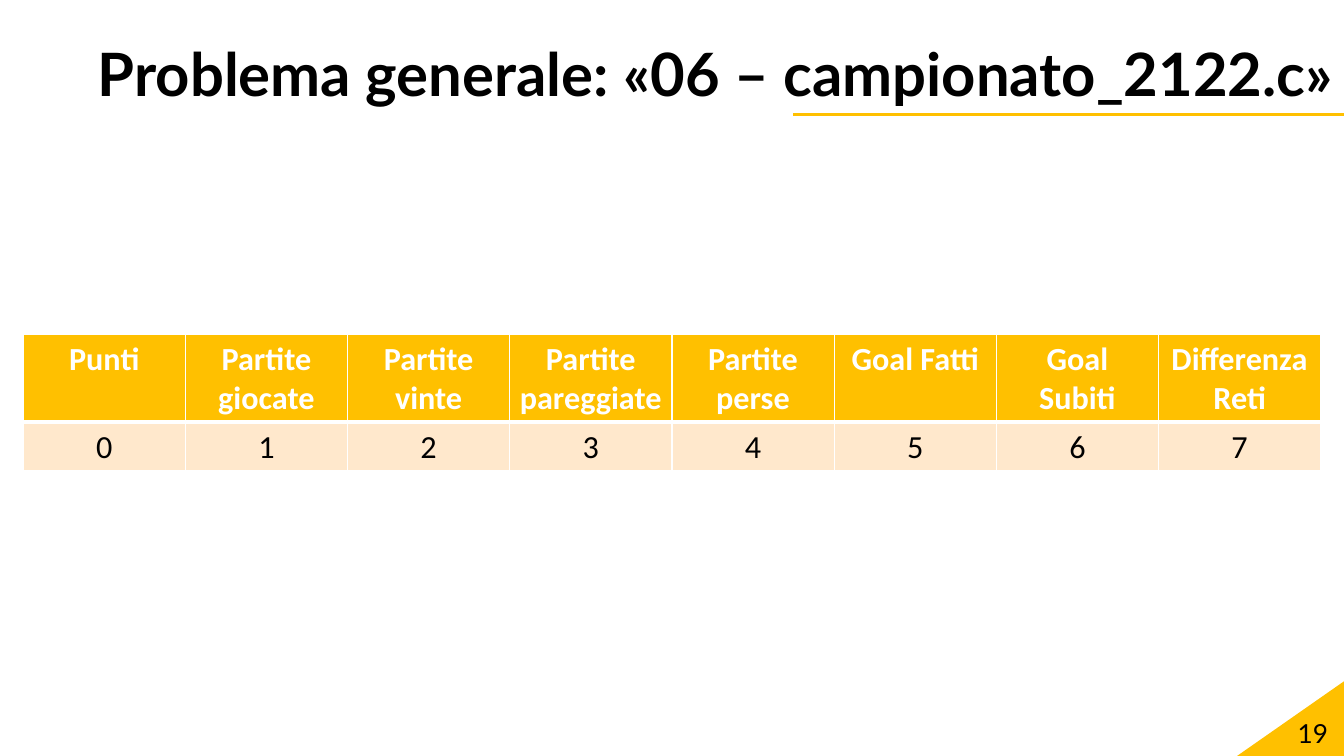
"""Builds the slide with the column indices of the championship table."""
from lxml import etree
from pptx import Presentation, util as u
from pptx.dml.color import RGBColor
from pptx.enum import shapes, text
from pptx.oxml import ns

GOLD = RGBColor(0xFF, 0xC0, 0x00)
CREAM = RGBColor(0xFF, 0xE8, 0xCC)
WHITE = RGBColor(0xFF, 0xFF, 0xFF)
BLACK = RGBColor(0, 0, 0)
HEADS = ["Punti", "Partite giocate", "Partite vinte", "Partite pareggiate",
         "Partite perse", "Goal Fatti", "Goal Subiti", "Differenza Reti"]

deck = Presentation()
deck.slide_width, deck.slide_height = wide, high = u.Inches(13.33), u.Inches(7.5)
slide = deck.slides.add_slide(deck.slide_layouts[6])


def write(frame, words, font, size, color, bold, align):
    """Adds one formatted run to the first paragraph."""
    para = frame.paragraphs[0]
    para.alignment = align
    run = para.add_run()
    run.text = words
    run.font.name, run.font.size = font, u.Pt(size)
    run.font.color.rgb, run.font.bold = color, bold
    return para


def label(left, top, width, height, words, size, bold):
    """Adds a right-aligned text box."""
    box = slide.shapes.add_textbox(left, top, width, height)
    frame = box.text_frame
    frame.word_wrap = True
    frame.vertical_anchor = text.MSO_ANCHOR.MIDDLE
    return write(frame, words, "Lato", size, BLACK, bold, text.PP_ALIGN.RIGHT)


side, rise = u.Inches(1.06), u.Inches(0.74)
corner = slide.shapes.add_shape(shapes.MSO_SHAPE.RIGHT_TRIANGLE,
                                wide - side, high - rise, side, rise)
corner.shadow.inherit = False
corner.fill.solid()
corner.fill.fore_color.rgb = GOLD
corner.line.fill.background()
corner._element.spPr.find(ns.qn("a:xfrm")).set("flipH", "1")

base = u.Inches(1.14)
rule = slide.shapes.add_connector(shapes.MSO_CONNECTOR.STRAIGHT,
                                  u.Inches(7.87), base, wide, base)
rule.line.color.rgb = GOLD
rule.line.width = u.Pt(2.25)
etree.SubElement(rule._element.spPr, ns.qn("a:effectLst"))

title = label(0, base - rise, wide, rise,
              "Problema generale: «06 – campionato_2122.c»", 42.7, True)
title.line_spacing = 0.9
label(u.Inches(10.27), u.Inches(7.07), u.Inches(3), u.Inches(0.4), "19", 18.7, False)

rows = [(HEADS, GOLD, WHITE, True, 0.87, 3),
        ([str(n) for n in range(len(HEADS))], CREAM, BLACK, False, 0.48, 1)]
grid = slide.shapes.add_table(len(rows), len(HEADS), u.Inches(0.23), u.Inches(3.32),
                              u.Inches(12.87), u.Inches(1.35)).table
for r, (words, fill, ink, bold, tall, under) in enumerate(rows):
    grid.rows[r].height = u.Inches(tall)
    for c, word in enumerate(words):
        cell = grid.cell(r, c)
        cell.fill.solid()
        cell.fill.fore_color.rgb = fill
        write(cell.text_frame, word, "Calibri", 23, ink, bold, text.PP_ALIGN.CENTER)
        top = 3 if r else 1
        for n, (edge, width) in enumerate(zip("LRTB", (1, 1, top, under))):
            line = etree.Element(ns.qn("a:ln" + edge), w=str(u.Pt(width)))
            paint = etree.SubElement(line, ns.qn("a:solidFill"))
            etree.SubElement(paint, ns.qn("a:srgbClr"), val=str(WHITE))
            cell._tc.tcPr.insert(n, line)

deck.save("out.pptx")
